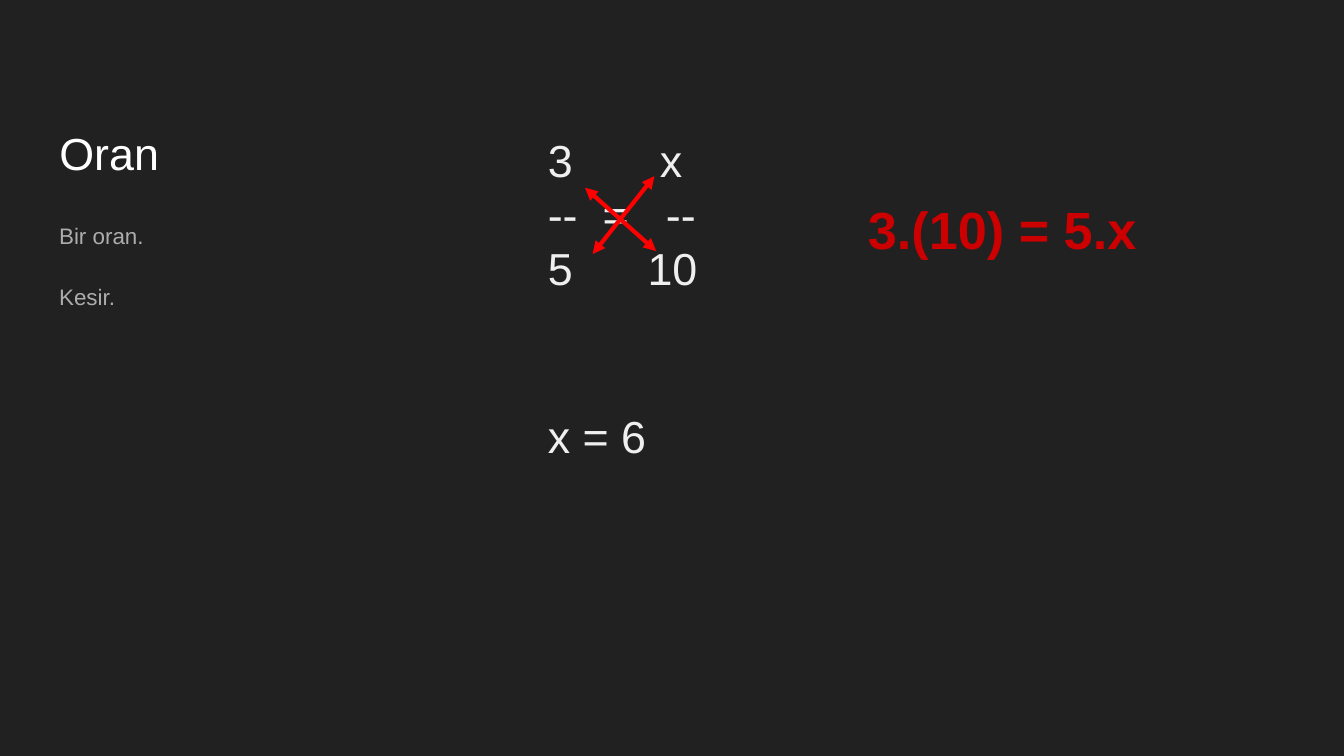
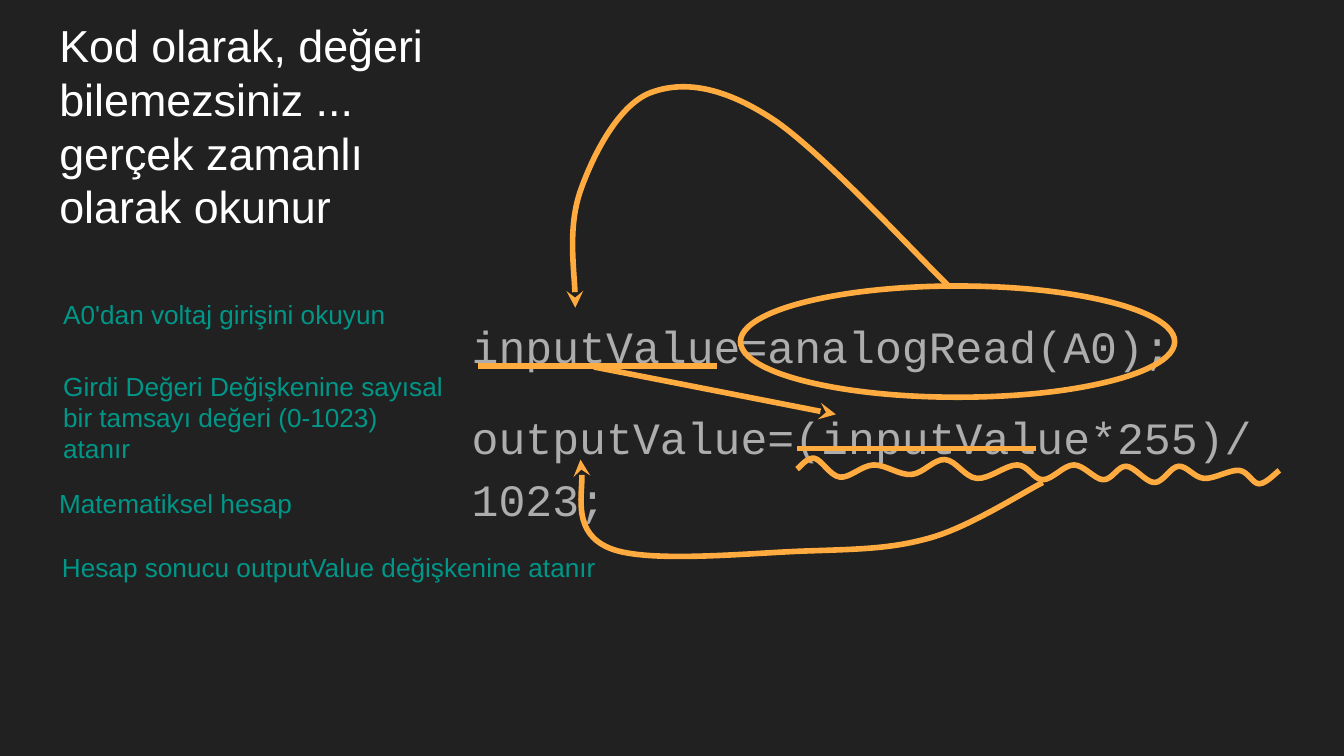
"""Build two dark slides on ratios and on mapping an analog reading."""
from dataclasses import dataclass

from lxml.etree import SubElement
from pptx import Presentation
from pptx.dml.color import RGBColor
from pptx.enum.shapes import MSO_CONNECTOR, MSO_SHAPE
from pptx.enum.text import MSO_ANCHOR as Anchor, MSO_AUTO_SIZE, PP_ALIGN
from pptx.oxml.ns import qn
from pptx.util import Pt


@dataclass(frozen=True)
class Theme:
    background: str = "212121"
    white: str = "FFFFFF"
    light: str = "EFEFEF"
    grey: str = "ADADAD"
    red: str = "FF0000"
    dark_red: str = "CC0000"
    orange: str = "FFAB40"
    teal: str = "009688"
    sans: str = "Arial"
    mono: str = "Courier New"
    small: int = 12
    note: int = 14
    large: int = 24
    result: int = 28
    thin: float = 2.25
    thick: float = 3
    inset: float = 7.2
    leading: float = 1.15


THEME = Theme()
SLIDE_SIZE = (720, 405)
TITLE_LEFT, TITLE_WIDTH, TITLE_HEIGHT = 24.6, 221, 59.5
NOTE_WIDTH, NOTE_HEIGHT = 327, 38

RATIO_TITLE = ("Oran", 43.8)
RATIO_TERMS = ["Bir oran.", "Kesir."]
PROPORTION = [
    ("3\tx", [60]),
    ("--\t=\t--", [29.3, 63.3]),
    ("5\t10", [53.4]),
]
SOLUTION = "x = 6"
CROSS_PRODUCT = "3.(10) = 5.x"
CROSS_ARROWS = [((313.4, 100.6), (351.5, 134.5)), ((317.5, 136.1), (350.6, 94.4))]

CODE_TITLE = ("Kod olarak, değeri bilemezsiniz ... gerçek zamanlı olarak okunur", 72.4)
CODE_LINES = ["inputValue=analogRead(A0);", "outputValue=(inputValue*255)/1023;"]
READ_CALL = (396.7, 153.2, 232.6, 59.6)
UNDERLINES = [(256.3, 196), (427, 240.3)]
UNDERLINE_LENGTH = 127.8
REUSE_ARROW = ((318.2, 196.6), (447.8, 222))
READ_ARROW = [(509, 154), (413.3, 63.4), (348.5, 49.7), (311, 102.2), (308.2, 164.9)]
CALCULATION_WAVE = [
    (427, 251.3), (436.3, 245.5), (450, 255.6), (468, 249.1), (488.2, 254.2),
    (506.2, 246.2), (523.4, 256.3), (545, 249.1), (558.7, 257), (575.3, 249.1),
    (591.1, 257), (603.4, 249.8), (618.5, 258.5), (631.4, 249.8), (645.1, 256.3),
    (663.8, 252), (674.6, 259.2), (685.4, 252),
]
RESULT_ARROW = [(558.7, 258.5), (499, 288), (431.3, 295.2), (326.9, 293.8), (311, 246.2)]
NOTES = [
    ("A0'dan voltaj girişini okuyun", 26.8, 152.6, NOTE_WIDTH),
    ("Girdi Değeri Değişkenine sayısal bir tamsayı değeri (0-1023) atanır",
     26.8, 191, TITLE_WIDTH),
    ("Matematiksel hesap", 24.6, 253.9, NOTE_WIDTH),
    ("Hesap sonucu outputValue değişkenine atanır", 26.1, 288, NOTE_WIDTH),
]


def points(values):
    return [Pt(value) for value in values]


def write(holder, lines, size, color, font=THEME.sans, bold=False,
          anchor=Anchor.TOP, leading=None, gap=0):
    frame = holder.text_frame
    frame.text = "\n".join(lines)
    frame.word_wrap = True
    frame.auto_size = MSO_AUTO_SIZE.NONE
    frame.vertical_anchor = anchor
    frame.margin_left = frame.margin_right = Pt(THEME.inset)
    frame.margin_top = frame.margin_bottom = Pt(THEME.inset)
    for index, paragraph in enumerate(frame.paragraphs):
        paragraph.alignment = PP_ALIGN.LEFT
        paragraph.space_before = Pt(gap if index else 0)
        if leading:
            paragraph.line_spacing = leading
        for run in paragraph.runs:
            run.font.name = font
            run.font.size = Pt(size)
            run.font.bold = bold
            run.font.color.rgb = RGBColor.from_string(color)


def add_text(slide, box, lines, size, color, **style):
    holder = slide.shapes.add_textbox(*points(box))
    write(holder, lines, size, color, **style)
    return holder


def add_titled_slide(deck, title, top):
    slide = deck.slides.add_slide(deck.slide_layouts[5])
    slide.background.fill.solid()
    slide.background.fill.fore_color.rgb = RGBColor.from_string(THEME.background)
    heading = slide.shapes.title
    heading.left, heading.top, heading.width, heading.height = points(
        (TITLE_LEFT, top, TITLE_WIDTH, TITLE_HEIGHT))
    write(heading, [title], THEME.large, THEME.white, anchor=Anchor.BOTTOM)
    return slide


def set_tabs(paragraph, stops):
    tabs = SubElement(paragraph._p.get_or_add_pPr(), qn("a:tabLst"))
    for stop in stops:
        SubElement(tabs, qn("a:tab"), pos=str(Pt(stop)), algn="l")


def stroke(shape, color, width, head=None, tail=None):
    shape.line.color.rgb = RGBColor.from_string(color)
    shape.line.width = Pt(width)
    outline = shape._element.spPr.find(qn("a:ln"))
    for tag, arrow in (("a:headEnd", head), ("a:tailEnd", tail)):
        if arrow:
            SubElement(outline, qn(tag), type=arrow)


def add_line(slide, start, end, color, width, **arrows):
    line = slide.shapes.add_connector(MSO_CONNECTOR.STRAIGHT, *points(start + end))
    stroke(line, color, width, **arrows)
    SubElement(line._element.spPr, qn("a:effectLst"))


def bezier_segments(knots):
    padded = [knots[0], *knots, knots[-1]]
    for before, start, end, after in zip(padded, padded[1:], padded[2:], padded[3:]):
        leaving = [b + (c - a) / 6 for a, b, c in zip(before, start, end)]
        arriving = [c - (d - b) / 6 for b, c, d in zip(start, end, after)]
        yield leaving, arriving, end


def add_curve(slide, knots, **arrows):
    start, *rest = [points(knot) for knot in knots]
    builder = slide.shapes.build_freeform(*start)
    builder.add_line_segments(rest, close=False)
    curve = builder.convert_to_shape()
    segments = list(curve._element.iter(qn("a:lnTo")))
    for segment, bezier in zip(segments, bezier_segments(knots)):
        segment.clear()
        segment.tag = qn("a:cubicBezTo")
        for x, y in bezier:
            SubElement(segment, qn("a:pt"),
                       x=str(Pt(x) - curve.left), y=str(Pt(y) - curve.top))
    curve.fill.background()
    curve.shadow.inherit = False
    stroke(curve, THEME.orange, THEME.thick, **arrows)


def build_ratio_slide(deck):
    slide = add_titled_slide(deck, *RATIO_TITLE)
    add_text(slide, (TITLE_LEFT, 109.4, TITLE_WIDTH, 250.6), RATIO_TERMS,
             THEME.small, THEME.grey, leading=THEME.leading, gap=16.5)
    proportion = add_text(slide, (286.4, 64.1, 388, 45.4),
                          [line for line, _ in PROPORTION], THEME.large, THEME.light)
    for paragraph, (_, stops) in zip(proportion.text_frame.paragraphs, PROPORTION):
        set_tabs(paragraph, stops)
    add_text(slide, (286.4, 115.2, 236, 236), [SOLUTION], THEME.large, THEME.light,
             anchor=Anchor.MIDDLE)
    for start, end in CROSS_ARROWS:
        add_line(slide, start, end, THEME.red, THEME.thin, head="triangle", tail="triangle")
    add_text(slide, (457.9, 98.6, NOTE_WIDTH, NOTE_HEIGHT), [CROSS_PRODUCT],
             THEME.result, THEME.dark_red, bold=True)


def build_code_slide(deck):
    slide = add_titled_slide(deck, *CODE_TITLE)
    add_text(slide, (245.6, 159.1, 469.4, 222.5), CODE_LINES, THEME.large, THEME.grey,
             font=THEME.mono, leading=THEME.leading, gap=16)
    read_call = slide.shapes.add_shape(MSO_SHAPE.OVAL, *points(READ_CALL))
    read_call.fill.background()
    read_call.shadow.inherit = False
    stroke(read_call, THEME.orange, THEME.thick)
    add_curve(slide, READ_ARROW, tail="stealth")
    for left, top in UNDERLINES:
        add_line(slide, (left, top), (left + UNDERLINE_LENGTH, top),
                 THEME.orange, THEME.thick)
    add_line(slide, *REUSE_ARROW, THEME.orange, THEME.thick, tail="stealth")
    add_curve(slide, CALCULATION_WAVE)
    add_curve(slide, RESULT_ARROW, tail="stealth")
    for note, left, top, width in NOTES:
        add_text(slide, (left, top, width, NOTE_HEIGHT), [note], THEME.note, THEME.teal)


def main():
    deck = Presentation()
    deck.slide_width, deck.slide_height = points(SLIDE_SIZE)
    build_ratio_slide(deck)
    build_code_slide(deck)
    deck.save("out.pptx")


if __name__ == "__main__":
    main()
